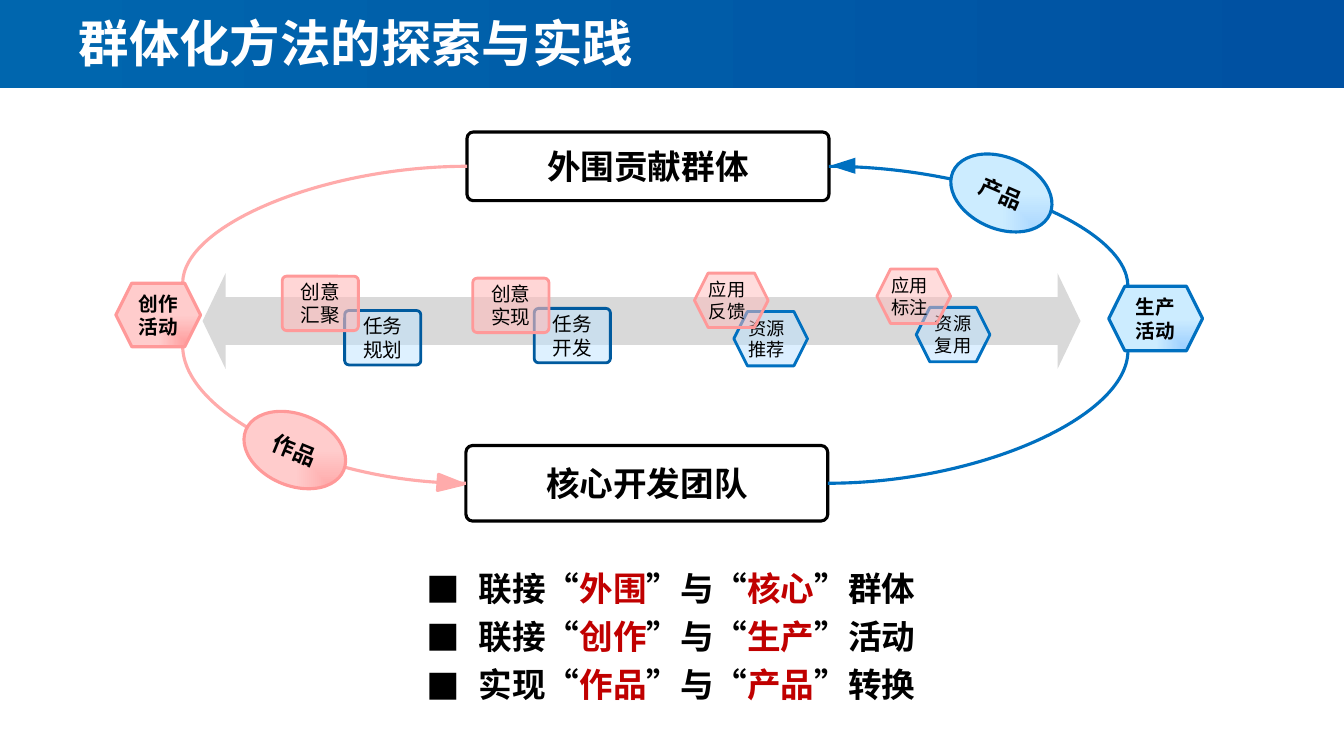
from dataclasses import dataclass
from typing import Optional

from lxml.etree import SubElement
from pptx import Presentation
from pptx.dml.color import RGBColor
from pptx.enum.lang import MSO_LANGUAGE_ID
from pptx.enum.shapes import MSO_CONNECTOR, MSO_SHAPE
from pptx.enum.text import MSO_ANCHOR, MSO_AUTO_SIZE, PP_ALIGN
from pptx.oxml.ns import qn
from pptx.util import Pt


@dataclass(frozen=True)
class Theme:
    font: str = "Noto Sans CJK SC"
    black: str = "000000"
    white: str = "FFFFFF"
    red: str = "C00000"
    grey: str = "D9D9D9"
    blue: str = "0070C0"
    navy: str = "005A9E"
    pink: str = "FF9999"
    rose: str = "FFABAB"
    sky: str = "BAE1FF"
    pale: str = "BFE4FF"
    blush: str = "FFBBBB"
    band: tuple = ("0066AE", "0051A2")
    warm: tuple = ("FF9999", "FFCCCC")
    cool: tuple = ("99CCFF", "CCECFF")
    title: float = 36
    head: float = 24
    oval: float = 16
    node: float = 14
    note: float = 13
    lead: float = 1.2


T = Theme()
HEX, BOX = MSO_SHAPE.HEXAGON, MSO_SHAPE.ROUNDED_RECTANGLE
OVAL, TIP = MSO_SHAPE.OVAL, MSO_SHAPE.ISOSCELES_TRIANGLE


@dataclass(frozen=True)
class Item:
    kind: int
    x: float
    y: float
    w: float
    h: float
    fill: object  # one colour, or a pair for a gradient
    line: Optional[str] = None
    text: tuple = ()
    size: float = T.node
    bold: bool = False
    thick: float = 2.25
    alpha: int = 100
    turn: float = 0
    adj: tuple = ()
    pad: tuple = (3, 3)  # left and right inset
    wrap: bool = True


@dataclass(frozen=True)
class Curve:
    box: int
    side: int
    x: float
    y: float
    tint: str


def badge(kind, x, y, w, fill, line, text, size, alpha=50, **more) -> Item:
    return Item(kind, x, y, w, 38.9, fill, line, text, size,
                thick=2, alpha=alpha, **more)


def card(x, y, fill, line, alpha, *text) -> Item:
    return badge(BOX, x, y, 54.4, fill, line, text, T.node, alpha,
                 adj=(0.08,), pad=(7.2, 7.2))


def cell(x, y, fill, line, right, *text) -> Item:
    return badge(HEX, x, y, 52.6, fill, line, text, T.note,
                 pad=(0, right), wrap=False)


ARROW = Item(MSO_SHAPE.LEFT_RIGHT_ARROW, 144.7, 195.1, 627.1, 68.4, T.grey,
             adj=(0.5, 0.24))
BADGES = (
    cell(524.2, 222.5, T.sky, T.blue, 6, "资源", "推荐"),
    cell(496.1, 195.1, T.blush, T.pink, 6, "应用", "反馈"),
    card(246.2, 221.8, T.pale, T.navy, 50, "任务", "规划"),
    card(201.6, 197.3, T.blush, T.pink, 60, "创意汇聚"),
    card(381.6, 220.3, T.pale, T.navy, 50, "任务", "开发"),
    card(337.7, 198.7, T.blush, T.pink, 60, "创意实现"),
    cell(654.5, 219.6, T.sky, T.blue, 0, "资源", "复用"),
    cell(626.4, 192.2, T.blush, T.pink, 6, "应用", "标注"),
)
TEAMS = tuple(
    Item(BOX, x, y, 258.5, h, T.white, T.black, (name,), T.head, True,
         adj=(0.09,))
    for x, y, h, name in ((333.6, 94.3, 49, "外围贡献群体"),
                          (332.8, 318.2, 54, "核心开发团队")))
CURVES = (
    Curve(0, 1, 130.5, 202.3, T.rose), Curve(1, 1, 130.5, 247, T.rose),
    Curve(0, 3, 805.7, 204.5, T.blue), Curve(1, 3, 805.7, 250.6, T.blue),
)
NODES = (
    Item(HEX, 82.8, 202.3, 60.5, 45.4, T.warm, T.pink, ("创作", "活动"),
         bold=True),
    Item(HEX, 792, 204.5, 67, 46.1, T.cool, T.blue, ("生产", "活动"),
         bold=True),
    Item(OVAL, 172.8, 295.9, 75.6, 51.1, T.warm, T.pink, ("作品",), T.oval,
         True, turn=22.2),
    Item(OVAL, 677.5, 112.3, 75.6, 51.1, T.cool, T.blue, ("产品",), T.oval,
         True, turn=23.4),
    Item(TIP, 316.1, 336.2, 11.5, 18, T.rose, T.rose, turn=93.9),
    Item(TIP, 596.2, 109.4, 11.5, 18, T.blue, turn=270),
)
GOALS = (("联接", "外围", "核心", "群体"), ("联接", "创作", "生产", "活动"),
         ("实现", "作品", "产品", "转换"))


def rgb(tint: str) -> RGBColor:
    return RGBColor.from_string(tint)


def write(para, text: str, size: float, tint: str, bold: bool) -> None:
    run = para.add_run()
    run.text = text
    font = run.font
    font.name, font.size, font.bold = T.font, Pt(size), bold
    font.color.rgb = rgb(tint)
    font.language_id = MSO_LANGUAGE_ID.SIMPLIFIED_CHINESE
    SubElement(font._element, qn("a:ea"), typeface=T.font)


def paint(shape, fill, alpha: int = 100) -> None:
    if isinstance(fill, str):
        shape.fill.solid()
        shape.fill.fore_color.rgb = rgb(fill)
        if alpha < 100:
            clr = shape.fill._xPr.find(qn("a:solidFill"))[0]
            SubElement(clr, qn("a:alpha"), val=str(alpha * 1000))
        return
    shape.fill.gradient()
    shape.fill.gradient_angle = 0
    for stop, tint in zip(shape.fill.gradient_stops, fill):
        stop.color.rgb = rgb(tint)


def glow(shape) -> None:
    """Make the gradient spread from the lower right corner."""
    grad = shape.fill._xPr.find(qn("a:gradFill"))
    grad.remove(grad.find(qn("a:lin")))
    way = SubElement(grad, qn("a:path"), {"path": "rect"})
    SubElement(way, qn("a:fillToRect"), l="100000", t="100000")


def draw(slide, item: Item):
    shape = slide.shapes.add_shape(item.kind, Pt(item.x), Pt(item.y),
                                   Pt(item.w), Pt(item.h))
    shape.shadow.inherit = False
    shape.rotation = item.turn
    for num, val in enumerate(item.adj):
        shape.adjustments[num] = val
    paint(shape, item.fill, item.alpha)
    if item.line:
        shape.line.color.rgb = rgb(item.line)
        shape.line.width = Pt(item.thick)
    else:
        shape.line.fill.background()
    frame = shape.text_frame
    frame.word_wrap = item.wrap
    frame.margin_left, frame.margin_right = map(Pt, item.pad)
    frame.margin_top = frame.margin_bottom = 0
    for num, text in enumerate(item.text):
        para = frame.add_paragraph() if num else frame.paragraphs[0]
        para.alignment = PP_ALIGN.CENTER
        para.line_spacing = Pt(item.size * T.lead)
        write(para, text, item.size, T.black, item.bold)
    return shape


def link(slide, curve: Curve, boxes: list) -> None:
    """Draw a quarter arc from a box side to a point."""
    line = slide.shapes.add_connector(MSO_CONNECTOR.CURVE, 0, 0,
                                      Pt(curve.x), Pt(curve.y))
    line.begin_connect(boxes[curve.box], curve.side)
    line.line.color.rgb = rgb(curve.tint)
    line.line.width = Pt(2.25)
    props = line._element.spPr
    props.find(qn("a:prstGeom")).set("prst", "curvedConnector2")
    SubElement(props, qn("a:effectLst"))


def place(shape, x: float, y: float, w: float, h: float):
    shape.left, shape.top, shape.width, shape.height = map(Pt, (x, y, w, h))
    frame = shape.text_frame
    frame.auto_size = MSO_AUTO_SIZE.NONE
    frame.vertical_anchor = MSO_ANCHOR.MIDDLE
    return frame


def head(slide) -> None:
    band = draw(slide, Item(MSO_SHAPE.RECTANGLE, 0, 0, 960, 62.6, T.band))
    slide.shapes._spTree.insert(2, band._element)
    para = place(slide.shapes.title, 49, 0, 756, 60.5).paragraphs[0]
    para.alignment = PP_ALIGN.LEFT
    write(para, "群体化方法的探索与实践", T.title, T.white, True)


def goals(slide) -> None:
    frame = place(slide.placeholders[1], 274.3, 378, 400.3, 146.9)
    frame.margin_left = Pt(8.6)
    for num, (verb, left, right, noun) in enumerate(GOALS):
        para = frame.add_paragraph() if num else frame.paragraphs[0]
        props = para._p.get_or_add_pPr()
        props.set("marL", str(Pt(59)))
        props.set("indent", str(-Pt(37)))
        SubElement(props, qn("a:buFont"), typeface=T.font)
        SubElement(props, qn("a:buChar"), char="■")
        para.alignment = PP_ALIGN.LEFT
        para.space_before = Pt(0)
        para.line_spacing = Pt(34.6)
        for text, tint in ((verb + "“", T.black), (left, T.red),
                           ("”与“", T.black), (right, T.red),
                           ("”" + noun, T.black)):
            write(para, text, T.head, tint, True)


def main() -> None:
    deck = Presentation()
    deck.slide_width, deck.slide_height = Pt(960), Pt(540)
    slide = deck.slides.add_slide(deck.slide_layouts[1])
    head(slide)
    for item in (ARROW, *BADGES):
        draw(slide, item)
    boxes = [draw(slide, item) for item in TEAMS]
    for curve in CURVES:
        link(slide, curve, boxes)
    for item in NODES:
        shape = draw(slide, item)
        if isinstance(item.fill, tuple):
            glow(shape)
    goals(slide)
    deck.save("out.pptx")


if __name__ == "__main__":
    main()
